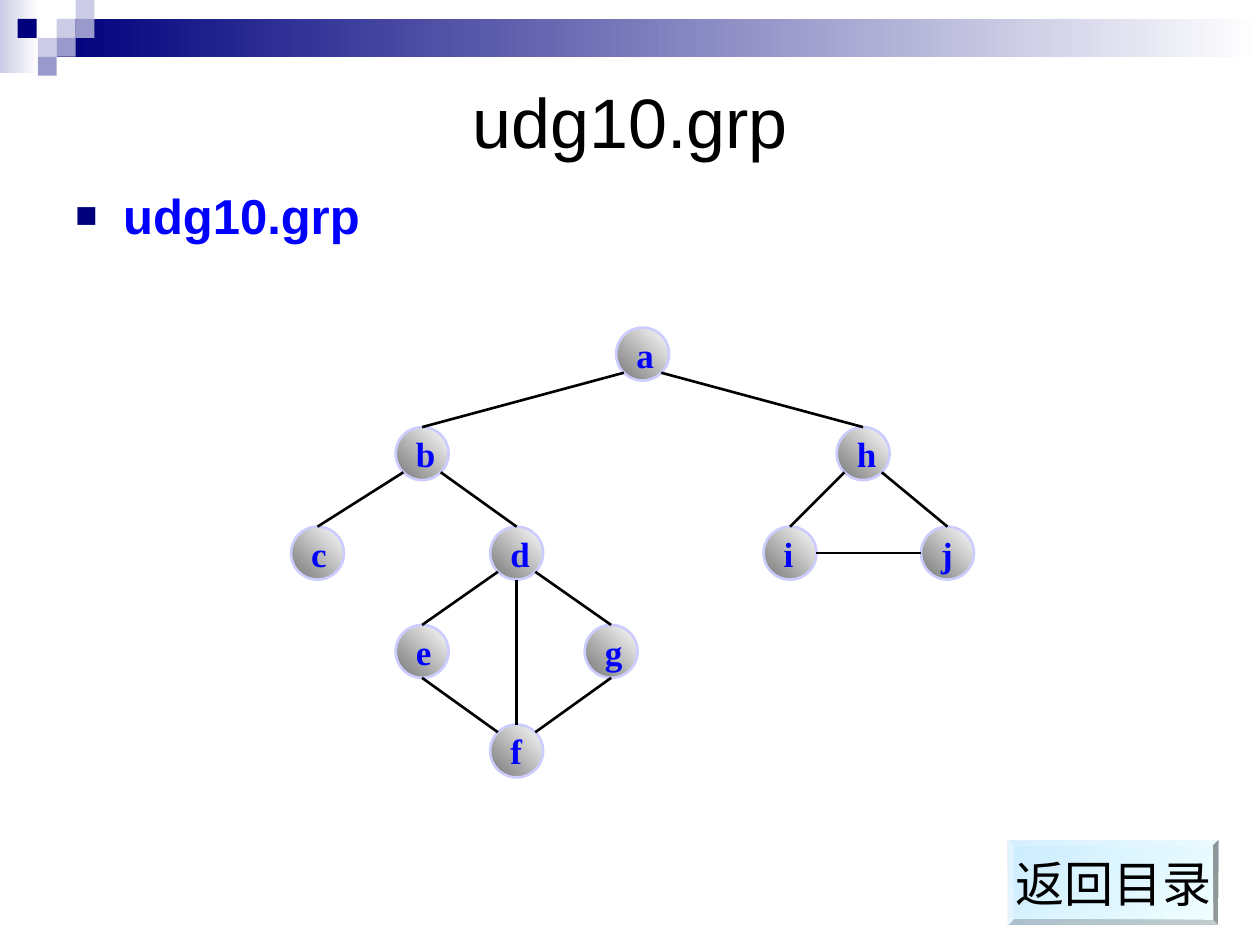
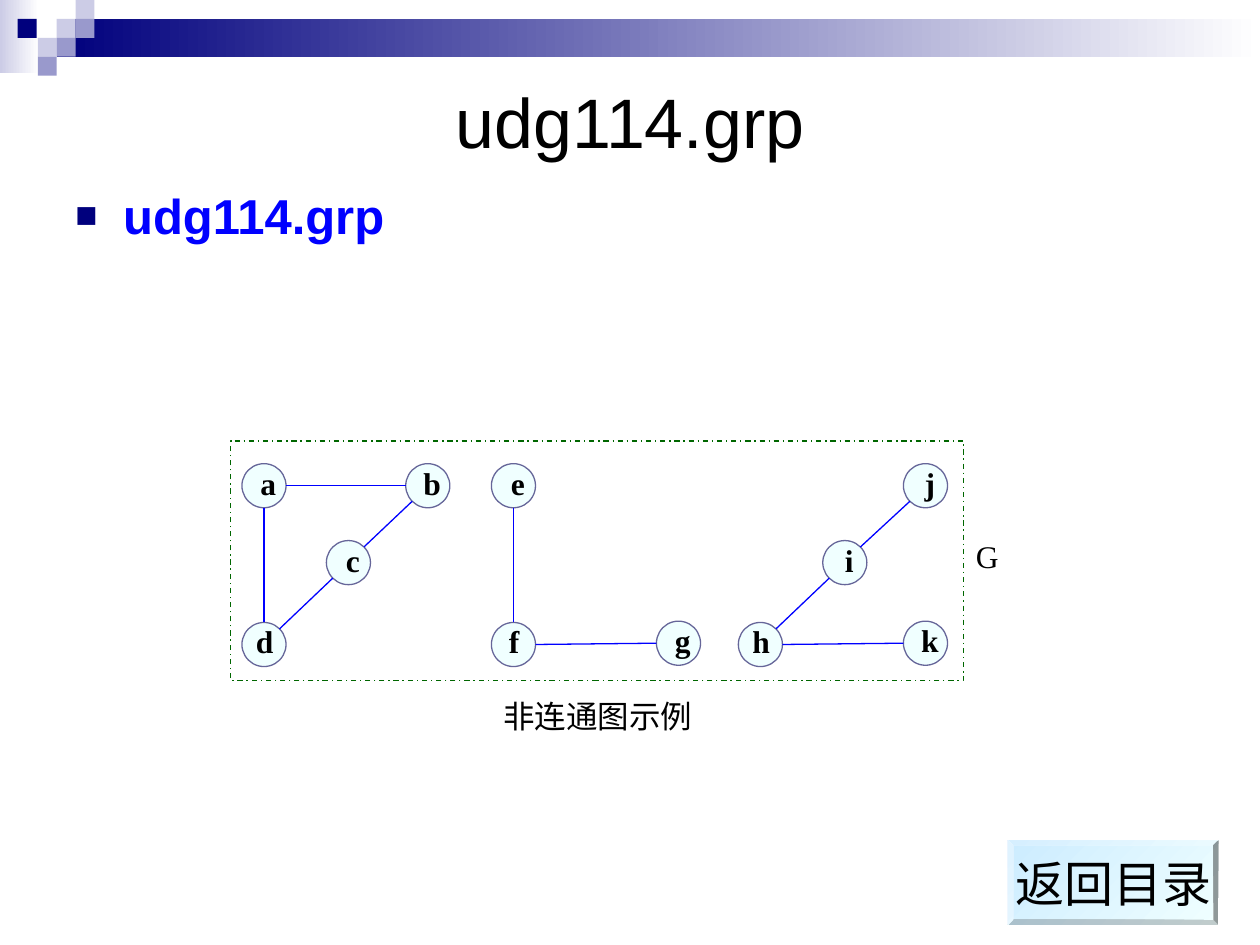
from math import sqrt
from typing import NamedTuple

from lxml.etree import SubElement
from pptx import Presentation
from pptx.dml.color import RGBColor
from pptx.enum.dml import MSO_LINE
from pptx.enum.shapes import MSO_CONNECTOR, MSO_SHAPE
from pptx.enum.text import MSO_ANCHOR, PP_ALIGN
from pptx.oxml.ns import qn
from pptx.util import Emu, Pt

PX = 9144  # EMU per px, 100 px to the inch
SANS, SERIF = "Arial", "Times New Roman"
COLORS = {
    "white": "FFFFFF", "black": "000000", "navy": "00007D", "blue": "0000FF",
    "lavender": "CCCCE6", "violet": "9999CC", "gray": "767676",
    "node_rim": "CCCCFF", "ice": "F0FFFF", "sky": "CCECFF",
    "slate": "666699", "green": "006600",
}


class Box(NamedTuple):
    left: int
    top: int
    width: int
    height: int


class Gradient(NamedTuple):
    start: str
    end: str
    angle: int  # counter-clockwise degrees


class TextStyle(NamedTuple):
    size: int
    font: str = SANS
    color: str = "black"
    bold: bool = False
    align: PP_ALIGN = PP_ALIGN.CENTER
    anchor: MSO_ANCHOR = MSO_ANCHOR.TOP
    margin_x: int = 10
    margin_y: int = 5


class Node(NamedTuple):
    name: str
    left: int
    top: int
    label_dx: int = 9


class Edge(NamedTuple):
    start: str
    start_side: str
    end: str
    end_side: str


class NodeStyle(NamedTuple):
    size: int
    fill: str | Gradient
    line: str
    line_pt: float
    edge: str


BAND = [
    (Box(0, 0, 31, 58), Gradient("white", "lavender", 180)),
    (Box(45, 15, 955, 30), Gradient("white", "navy", 180)),
    (Box(45, 15, 15, 15), "lavender"),
    (Box(60, 0, 15, 15), "lavender"),
    (Box(60, 15, 15, 15), "violet"),
    (Box(30, 30, 15, 15), "lavender"),
    (Box(14, 15, 15, 15), "navy"),
    (Box(45, 30, 15, 15), "violet"),
    (Box(30, 45, 15, 15), "violet"),
]

TITLE = TextStyle(40, anchor=MSO_ANCHOR.MIDDLE)
BODY = TextStyle(28, color="blue", bold=True, align=PP_ALIGN.LEFT)
BUTTON = TextStyle(28, anchor=MSO_ANCHOR.MIDDLE)
BALL_LABEL = TextStyle(20, SERIF, "blue", True, PP_ALIGN.LEFT, MSO_ANCHOR.MIDDLE)
DISC_LABEL = TextStyle(18, SERIF, bold=True, margin_x=0, margin_y=0)
CAPTION = TextStyle(18, SERIF)

BALL = NodeStyle(42, Gradient("white", "gray", 225), "node_rim", 1.5, "black")
DISC = NodeStyle(35, "ice", "slate", 0.75, "blue")

# Unit offsets from a node's centre to its rim
DIAG = 1 / sqrt(2)
SIDES = {
    "N": (0, -1), "S": (0, 1), "W": (-1, 0), "E": (1, 0),
    "NW": (-DIAG, -DIAG), "NE": (DIAG, -DIAG),
    "SW": (-DIAG, DIAG), "SE": (DIAG, DIAG),
}

CONNECTED_NODES = [
    Node("a", 489, 260), Node("b", 314, 339), Node("h", 664, 339),
    Node("c", 231, 418), Node("d", 389, 418), Node("i", 606, 418),
    Node("j", 731, 418), Node("e", 314, 496), Node("g", 464, 496),
    Node("f", 389, 575),
]
CONNECTED_EDGES = [
    Edge("a", "SW", "b", "N"), Edge("a", "SE", "h", "N"),
    Edge("b", "SW", "c", "N"), Edge("b", "SE", "d", "N"),
    Edge("d", "SW", "e", "N"), Edge("d", "SE", "g", "N"),
    Edge("d", "S", "f", "N"), Edge("e", "S", "f", "NW"),
    Edge("f", "NE", "g", "S"), Edge("h", "SW", "i", "N"),
    Edge("h", "SE", "j", "N"), Edge("i", "E", "j", "W"),
]
SPLIT_NODES = [
    Node("a", 192, 368), Node("b", 322, 368), Node("c", 259, 429),
    Node("d", 192, 494, 6), Node("e", 390, 368), Node("f", 390, 494, 6),
    Node("g", 521, 493), Node("h", 586, 494, 6), Node("i", 653, 429),
    Node("j", 717, 368), Node("k", 717, 493),
]
SPLIT_EDGES = [
    Edge("a", "E", "b", "W"), Edge("a", "S", "d", "N"),
    Edge("d", "NE", "c", "SW"), Edge("c", "NE", "b", "SW"),
    Edge("e", "S", "f", "N"), Edge("f", "E", "g", "W"),
    Edge("h", "E", "k", "W"), Edge("h", "NE", "i", "SW"),
    Edge("i", "NE", "j", "SW"),
]


def px(value: float) -> Emu:
    return Emu(round(value * PX))


def rgb(name: str) -> RGBColor:
    return RGBColor.from_string(COLORS[name])


def set_text(sp, text: str, style: TextStyle, wrap: bool = True) -> None:
    tf = sp.text_frame
    tf.word_wrap = wrap
    tf.vertical_anchor = style.anchor
    tf.margin_left = tf.margin_right = px(style.margin_x)
    tf.margin_top = tf.margin_bottom = px(style.margin_y)
    p = tf.paragraphs[0]
    p.text = text
    p.alignment = style.align
    r = p.runs[0]
    r.font.size = Pt(style.size)
    r.font.name = style.font
    r.font.bold = style.bold
    r.font.color.rgb = rgb(style.color)


def add_text(s, box: Box, text: str, style: TextStyle):
    sp = s.shapes.add_textbox(*map(px, box))
    set_text(sp, text, style)
    return sp


def add_shape(s, kind: MSO_SHAPE, box: Box, fill: str | Gradient | None,
              line: str | None = None, line_pt: float = 0.75):
    sp = s.shapes.add_shape(kind, *map(px, box))
    sp.shadow.inherit = False
    if fill is None:
        sp.fill.background()
    elif isinstance(fill, Gradient):
        sp.fill.gradient()
        sp.fill.gradient_angle = fill.angle
        for stop, color in zip(sp.fill.gradient_stops, (fill.start, fill.end)):
            stop.color.rgb = rgb(color)
    else:
        sp.fill.solid()
        sp.fill.fore_color.rgb = rgb(fill)
    if line is None:
        sp.line.fill.background()
    else:
        sp.line.color.rgb = rgb(line)
        sp.line.width = Pt(line_pt)
    return sp


def add_square_bullet(p) -> None:
    pPr = p._p.get_or_add_pPr()
    pPr.set("marL", str(px(38)))
    pPr.set("indent", str(px(-38)))
    color = SubElement(pPr, qn("a:buClr"))
    SubElement(color, qn("a:srgbClr"), val=COLORS["navy"])
    SubElement(pPr, qn("a:buSzPct"), val="75000")
    SubElement(pPr, qn("a:buFont"), typeface=SANS)
    SubElement(pPr, qn("a:buChar"), char="■")


def add_base_slide(prs, name: str):
    """Blank slide with the band, title, bulleted file name and button."""
    s = prs.slides.add_slide(prs.slide_layouts[6])
    for box, fill in BAND:
        add_shape(s, MSO_SHAPE.RECTANGLE, box, fill)
    add_text(s, Box(50, 50, 900, 92), name, TITLE)
    body = add_text(s, Box(50, 142, 900, 533), name, BODY)
    p = body.text_frame.paragraphs[0]
    p.space_before = Pt(7)
    add_square_bullet(p)

    button = add_shape(s, MSO_SHAPE.BEVEL, Box(800, 667, 167, 67),
                       Gradient("ice", "sky", 135))
    button.adjustments[0] = 0.06
    set_text(button, "返回目录", BUTTON, wrap=False)
    return s


def rim_point(node: Node, side: str, size: int) -> tuple[Emu, Emu]:
    dx, dy = SIDES[side]
    r = size / 2
    return px(node.left + r + dx * r), px(node.top + r + dy * r)


def add_graph(s, nodes: list[Node], edges: list[Edge], style: NodeStyle) -> dict:
    """Draw the circles and edges; return the circles by node name."""
    circles = {}
    for node in nodes:
        box = Box(node.left, node.top, style.size, style.size)
        circles[node.name] = add_shape(s, MSO_SHAPE.OVAL, box, style.fill,
                                       style.line, style.line_pt)
    by_name = {node.name: node for node in nodes}
    for edge in edges:
        start = rim_point(by_name[edge.start], edge.start_side, style.size)
        end = rim_point(by_name[edge.end], edge.end_side, style.size)
        cxn = s.shapes.add_connector(MSO_CONNECTOR.STRAIGHT, *start, *end)
        cxn.line.color.rgb = rgb(style.edge)
        cxn.line.width = Pt(style.line_pt)
        SubElement(cxn._element.spPr, qn("a:effectLst"))
    return circles


def add_connected_slide(prs) -> None:
    s = add_base_slide(prs, "udg10.grp")
    circles = add_graph(s, CONNECTED_NODES, CONNECTED_EDGES, BALL)
    for name, circle in circles.items():
        set_text(circle, name, BALL_LABEL, wrap=False)


def add_split_slide(prs) -> None:
    s = add_base_slide(prs, "udg114.grp")
    add_graph(s, SPLIT_NODES, SPLIT_EDGES, DISC)
    for node in SPLIT_NODES:
        box = Box(node.left + node.label_dx, node.top, 24, 29)
        add_text(s, box, node.name, DISC_LABEL)
    # Frame around the whole graph, with its name and caption
    frame = add_shape(s, MSO_SHAPE.RECTANGLE, Box(183, 350, 582, 190), None, "green")
    frame.line.dash_style = MSO_LINE.DASH_DOT
    add_text(s, Box(742, 421, 83, 44), "G", CAPTION)
    add_text(s, Box(335, 548, 279, 44), "非连通图示例", CAPTION)


def main() -> None:
    prs = Presentation()
    prs.slide_width, prs.slide_height = px(1000), px(750)
    add_connected_slide(prs)
    add_split_slide(prs)
    prs.save("out.pptx")


if __name__ == "__main__":
    main()
